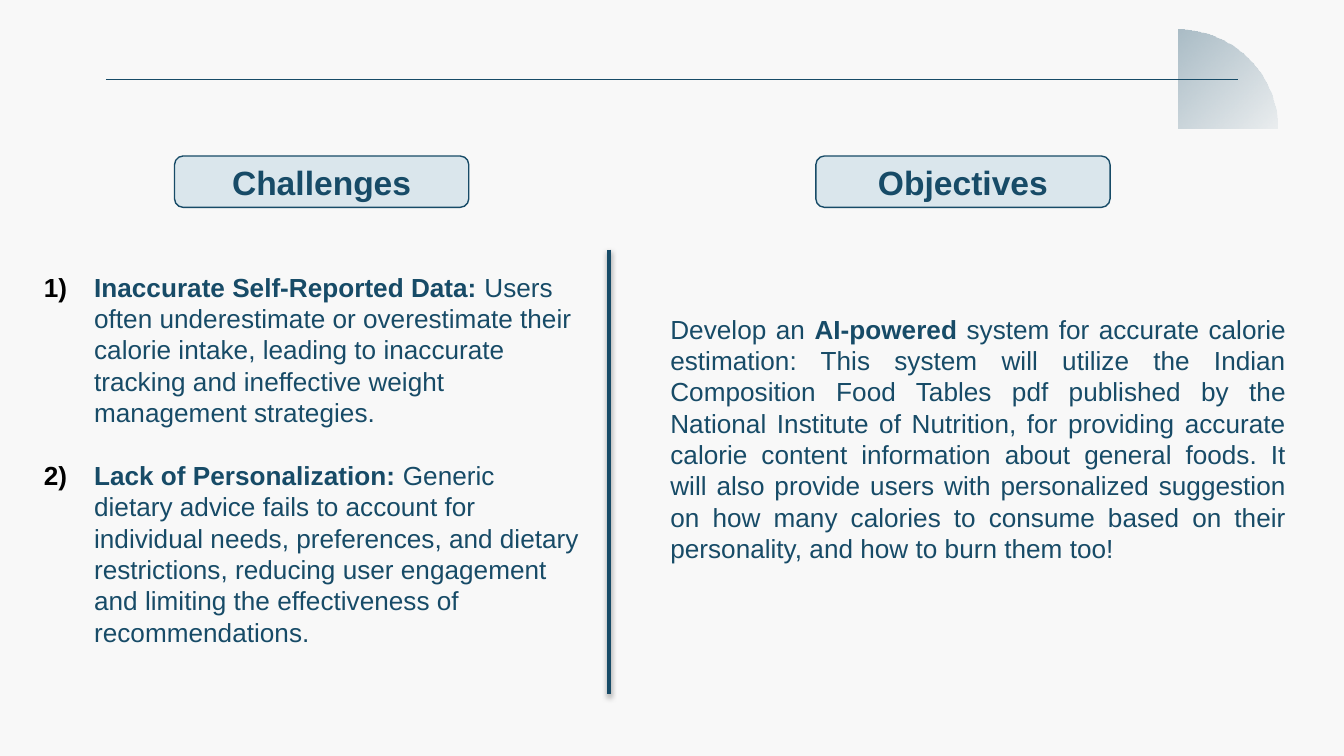
from math import cos, pi, sin

from pptx import Presentation
from pptx.dml.color import RGBColor
from pptx.enum.shapes import MSO_CONNECTOR as Connector, MSO_SHAPE as Shape
from pptx.enum.text import MSO_ANCHOR as Anchor, MSO_AUTO_SIZE as AutoSize, PP_ALIGN as Align
from pptx.oxml.ns import qn
from pptx.util import Cm, Pt
from lxml.etree import SubElement

COLORS = {"back": "F8F8F8", "ink": "174B67", "label": "DAE6EC", "black": "000000"}
CHALLENGES = [
    [("Inaccurate Self-Reported Data: ", True),
     ("Users often underestimate or overestimate their calorie intake, leading to "
      "inaccurate tracking and ineffective weight management strategies.", False)],
    [("Lack of Personalization: ", True),
     ("Generic dietary advice fails to account for individual needs, preferences, and "
      "dietary restrictions, reducing user engagement and limiting the effectiveness of "
      "recommendations.", False)],
]
OBJECTIVE = [
    [("Develop an ", False), ("AI-powered", True),
     (" system for accurate calorie estimation: This system will utilize the Indian "
      "Composition Food Tables pdf published by the National Institute of Nutrition, for "
      "providing accurate calorie content information about general foods. It will also "
      "provide users with personalized suggestion on how many calories to consume based on "
      "their personality, and how to burn them too!", False)],
]


class Page:
    """Hold the style and the current slide, and draw each kind of element."""

    def __init__(self, slide, font="Arial", text_size=14, label_size=18):
        self.slide = slide
        self.shapes = slide.shapes
        self.font, self.text_size, self.label_size = font, text_size, label_size
        slide.background.fill.solid()
        slide.background.fill.fore_color.rgb = self.color("back")

    def color(self, name):
        return RGBColor.from_string(COLORS[name])

    def style(self, span, size, bold):
        span.font.name, span.font.size, span.font.bold = self.font, Pt(size), bold
        span.font.color.rgb = self.color("ink")

    def line(self, start, end, weight, shadow=False):
        line = self.shapes.add_connector(
            Connector.STRAIGHT, *(Cm(value) for value in (*start, *end)))
        line.line.color.rgb = self.color("ink")
        line.line.width = Pt(weight)
        effects = SubElement(line._element.spPr, qn("a:effectLst"))
        if shadow:
            outer = SubElement(effects, qn("a:outerShdw"), blurRad=str(Pt(3.1)),
                               dist=str(Pt(1.6)), dir="5400000", rotWithShape="0")
            tint = SubElement(outer, qn("a:srgbClr"), val=COLORS["black"])
            SubElement(tint, qn("a:alpha"), val="38000")

    def quarter(self, left, bottom, radius, steps=48):
        arc = [(Cm(left + radius * cos(step * pi / 2 / steps)),
                Cm(bottom - radius * sin(step * pi / 2 / steps)))
               for step in range(steps + 1)]
        builder = self.shapes.build_freeform(Cm(left), Cm(bottom))
        builder.add_line_segments(arc, close=True)
        shape = builder.convert_to_shape()
        shape.shadow.inherit = False
        shape.line.fill.background()
        shape.fill.gradient()
        shape.fill.gradient_angle = 315
        for stop, opacity in zip(shape.fill.gradient_stops, (35, 6)):
            stop.color.rgb = self.color("ink")
        for tint, opacity in zip(shape._element.spPr.iter(qn("a:srgbClr")), (35, 6)):
            SubElement(tint, qn("a:alpha"), val=str(opacity * 1000))

    def label(self, text, left, top, width, height):
        box = self.shapes.add_shape(
            Shape.ROUNDED_RECTANGLE, Cm(left), Cm(top), Cm(width), Cm(height))
        box.shadow.inherit = False
        box.fill.solid()
        box.fill.fore_color.rgb = self.color("label")
        box.line.color.rgb = self.color("ink")
        box.line.width = Pt(0.75)
        frame = box.text_frame
        frame.margin_left = frame.margin_right = Cm(0.25)
        frame.margin_top = frame.margin_bottom = Cm(0.25)
        frame.vertical_anchor = Anchor.MIDDLE
        frame.text = text
        para = frame.paragraphs[0]
        para.alignment = Align.CENTER
        self.style(para.runs[0], self.label_size, True)

    def number(self, para):
        props = para._p.get_or_add_pPr()
        props.set("marL", str(Cm(0.95)))
        props.set("indent", str(Cm(-0.95)))
        tint = SubElement(props, qn("a:buClr"))
        SubElement(tint, qn("a:srgbClr"), val=COLORS["black"])
        SubElement(props, qn("a:buFont"), typeface=self.font)
        SubElement(props, qn("a:buAutoNum"), type="arabicParenR")

    def text(self, items, left, top, width, height, align=Align.LEFT, numbered=False):
        box = self.shapes.add_textbox(Cm(left), Cm(top), Cm(width), Cm(height))
        frame = box.text_frame
        frame.word_wrap = True
        frame.auto_size = AutoSize.SHAPE_TO_FIT_TEXT
        for index, item in enumerate(items):
            para = frame.add_paragraph() if index else frame.paragraphs[0]
            para.alignment = align
            if index:
                para.space_before = Pt(16.8)
            if numbered:
                self.number(para)
            for words, bold in item:
                span = para.add_run()
                span.text = words
                self.style(span, self.text_size, bold)


def main():
    deck = Presentation()
    deck.slide_width, deck.slide_height = Cm(25.4), Cm(14.29)
    page = Page(deck.slides.add_slide(deck.slide_layouts[6]))
    page.line((2, 1.5), (23.4, 1.5), 0.75)
    page.quarter(22.27, 2.43, 1.87)
    page.text(CHALLENGES, 0.58, 5, 10.62, 8.03, numbered=True)
    page.text(OBJECTIVE, 12.42, 5.79, 12.14, 6.25, align=Align.JUSTIFY)
    for title, left in (("Challenges", 3.3), ("Objectives", 15.42)):
        page.label(title, left, 2.95, 5.56, 0.97)
    page.line((11.51, 4.72), (11.51, 13.11), 2, shadow=True)
    deck.save("out.pptx")


if __name__ == "__main__":
    main()
